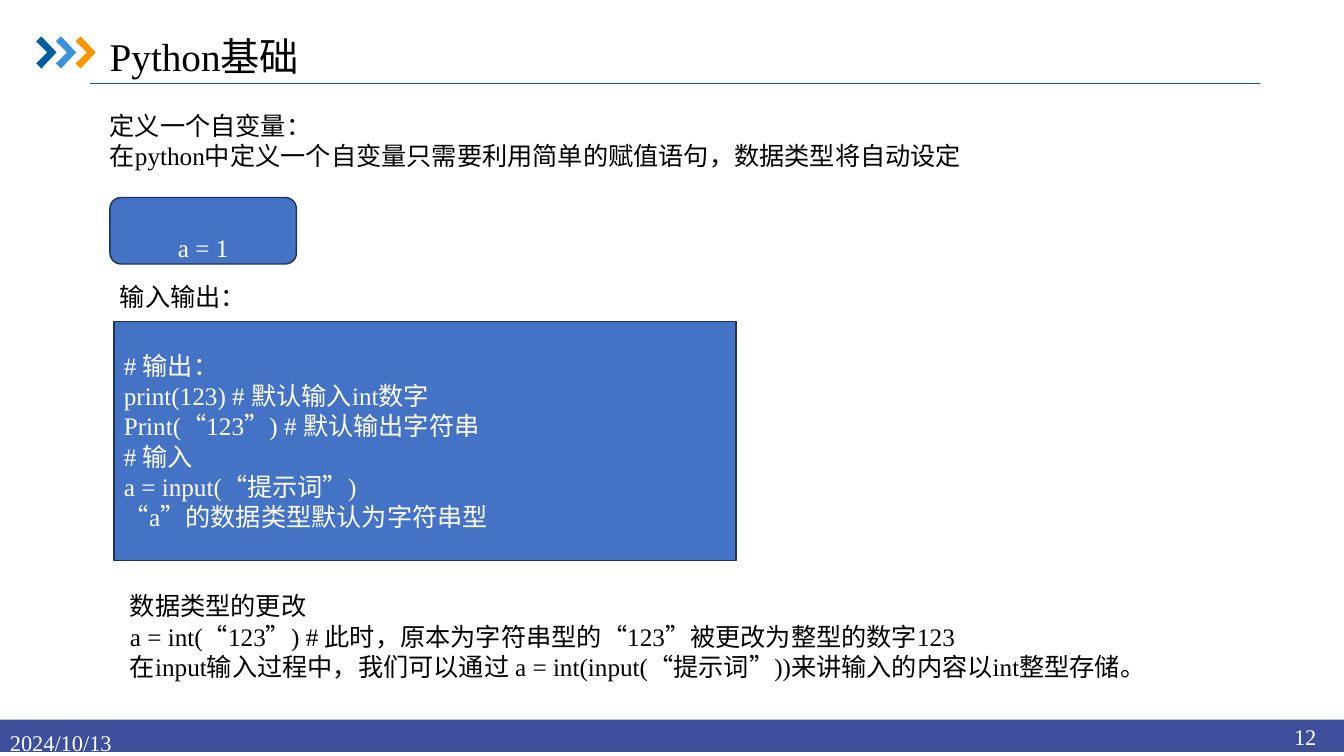
from dataclasses import dataclass

from lxml import etree
from pptx import Presentation
from pptx.dml.color import RGBColor
from pptx.enum import shapes, text
from pptx.oxml import ns
from pptx.util import Inches, Pt

FONT_NAME = "Times New Roman"
BLACK = RGBColor(0x00, 0x00, 0x00)
WHITE = RGBColor(0xFF, 0xFF, 0xFF)
DARK_BLUE = RGBColor(0x00, 0x5D, 0xA2)
LIGHT_BLUE = RGBColor(0x39, 0x92, 0xDB)
ORANGE = RGBColor(0xF7, 0x96, 0x00)
FOOTER_BLUE = RGBColor(0x3D, 0x4F, 0x9B)
CODE_BLUE = RGBColor(0x44, 0x72, 0xC4)
CODE_OUTLINE = RGBColor(0x1E, 0x32, 0x56)

CHEVRON_LEFT = 0.36
CHEVRON_STEP = 0.195
CHEVRON_POINTS = [(0, 0.41), (0.05, 0.36), (0.2, 0.52),
                  (0.05, 0.68), (0, 0.63), (0.11, 0.52)]


@dataclass
class TextBlock:
    left: float
    top: float
    width: float
    height: float
    lines: list[str]
    size: int = 18
    color: RGBColor = BLACK
    alignment: text.PP_ALIGN = text.PP_ALIGN.LEFT
    anchor: text.MSO_ANCHOR = text.MSO_ANCHOR.TOP
    wrap: bool = True


@dataclass
class CodeBox:
    kind: shapes.MSO_SHAPE
    block: TextBlock
    margin_top: float = 0.05
    margin_bottom: float = 0.05


TEXT_BLOCKS = [
    TextBlock(0, 7.18, 1.57, 0.4, ["2024/10/13"], 16, WHITE),
    TextBlock(12.65, 7.11, 0.59, 0.4, ["12"], 16, WHITE,
              text.PP_ALIGN.CENTER, text.MSO_ANCHOR.MIDDLE),
    TextBlock(0.99, 0.27, 4.13, 0.57, ["Python基础"], 28),
    TextBlock(0.99, 1.04, 8.98, 1.01, [
        "定义一个自变量：",
        "在python中定义一个自变量只需要利用简单的赋值语句，数据类型将自动设定",
    ], wrap=False),
    TextBlock(1.09, 2.74, 1.46, 0.4, ["输入输出："], wrap=False),
    TextBlock(1.19, 5.81, 10.12, 1.01, [
        "数据类型的更改",
        "a = int(“123”) # 此时，原本为字符串型的“123”被更改为整型的数字123",
        "在input输入过程中，我们可以通过 a = int(input(“提示词”))来讲输入的内容以int整型存储。",
    ]),
]

CODE_BOXES = [
    CodeBox(shapes.MSO_SHAPE.ROUNDED_RECTANGLE,
            TextBlock(1.09, 1.96, 1.85, 0.66, ["a = 1"], color=WHITE,
                      alignment=text.PP_ALIGN.CENTER,
                      anchor=text.MSO_ANCHOR.MIDDLE),
            margin_top=0.34, margin_bottom=0),
    CodeBox(shapes.MSO_SHAPE.RECTANGLE,
            TextBlock(1.13, 3.19, 6.17, 2.37, [
                "# 输出：",
                "print(123) # 默认输入int数字",
                "Print(“123”) # 默认输出字符串",
                "# 输入",
                "a = input(“提示词”)",
                "“a”的数据类型默认为字符串型",
            ], color=WHITE, anchor=text.MSO_ANCHOR.MIDDLE)),
]


def write_lines(shape, block: TextBlock) -> None:
    frame = shape.text_frame
    frame.word_wrap = block.wrap
    frame.vertical_anchor = block.anchor
    frame.text = "\n".join(block.lines)
    for paragraph in frame.paragraphs:
        paragraph.alignment = block.alignment
        for run in paragraph.runs:
            run.font.name = FONT_NAME
            run.font.size = Pt(block.size)
            run.font.color.rgb = block.color


def fill_plain(shape, color: RGBColor) -> None:
    """Give the shape a solid fill without outline or shadow."""
    shape.shadow.inherit = False
    shape.fill.solid()
    shape.fill.fore_color.rgb = color
    shape.line.fill.background()


def add_text_block(slide, block: TextBlock) -> None:
    shape = slide.shapes.add_textbox(Inches(block.left), Inches(block.top),
                                     Inches(block.width), Inches(block.height))
    write_lines(shape, block)


def add_code_box(slide, box: CodeBox) -> None:
    block = box.block
    shape = slide.shapes.add_shape(
        box.kind, Inches(block.left), Inches(block.top),
        Inches(block.width), Inches(block.height))
    fill_plain(shape, CODE_BLUE)
    shape.line.color.rgb = CODE_OUTLINE
    shape.line.width = Pt(1)
    write_lines(shape, block)
    shape.text_frame.margin_top = Inches(box.margin_top)
    shape.text_frame.margin_bottom = Inches(box.margin_bottom)


def add_chevron(slide, left: float, color: RGBColor) -> None:
    points = [(Inches(left + x), Inches(y)) for x, y in CHEVRON_POINTS]
    builder = slide.shapes.build_freeform(*points[0])
    builder.add_line_segments(points[1:], close=True)
    fill_plain(builder.convert_to_shape(), color)


def add_title_rule(slide) -> None:
    rule = slide.shapes.add_connector(
        shapes.MSO_CONNECTOR.STRAIGHT,
        Inches(0.89), Inches(0.83), Inches(12.5), Inches(0.83))
    rule.line.color.rgb = DARK_BLUE
    rule.line.width = Pt(0.5)
    etree.SubElement(rule.element.spPr, ns.qn("a:effectLst"))


def main() -> None:
    presentation = Presentation()
    presentation.slide_width = Inches(13.33)
    presentation.slide_height = Inches(7.5)
    slide = presentation.slides.add_slide(presentation.slide_layouts[6])

    add_title_rule(slide)
    for index, color in enumerate((DARK_BLUE, LIGHT_BLUE, ORANGE)):
        add_chevron(slide, CHEVRON_LEFT + index * CHEVRON_STEP, color)
    footer = slide.shapes.add_shape(
        shapes.MSO_SHAPE.RECTANGLE,
        Inches(0), Inches(7.14), Inches(13.33), Inches(0.32))
    fill_plain(footer, FOOTER_BLUE)
    for box in CODE_BOXES:
        add_code_box(slide, box)
    for block in TEXT_BLOCKS:
        add_text_block(slide, block)

    presentation.save("out.pptx")


if __name__ == "__main__":
    main()
